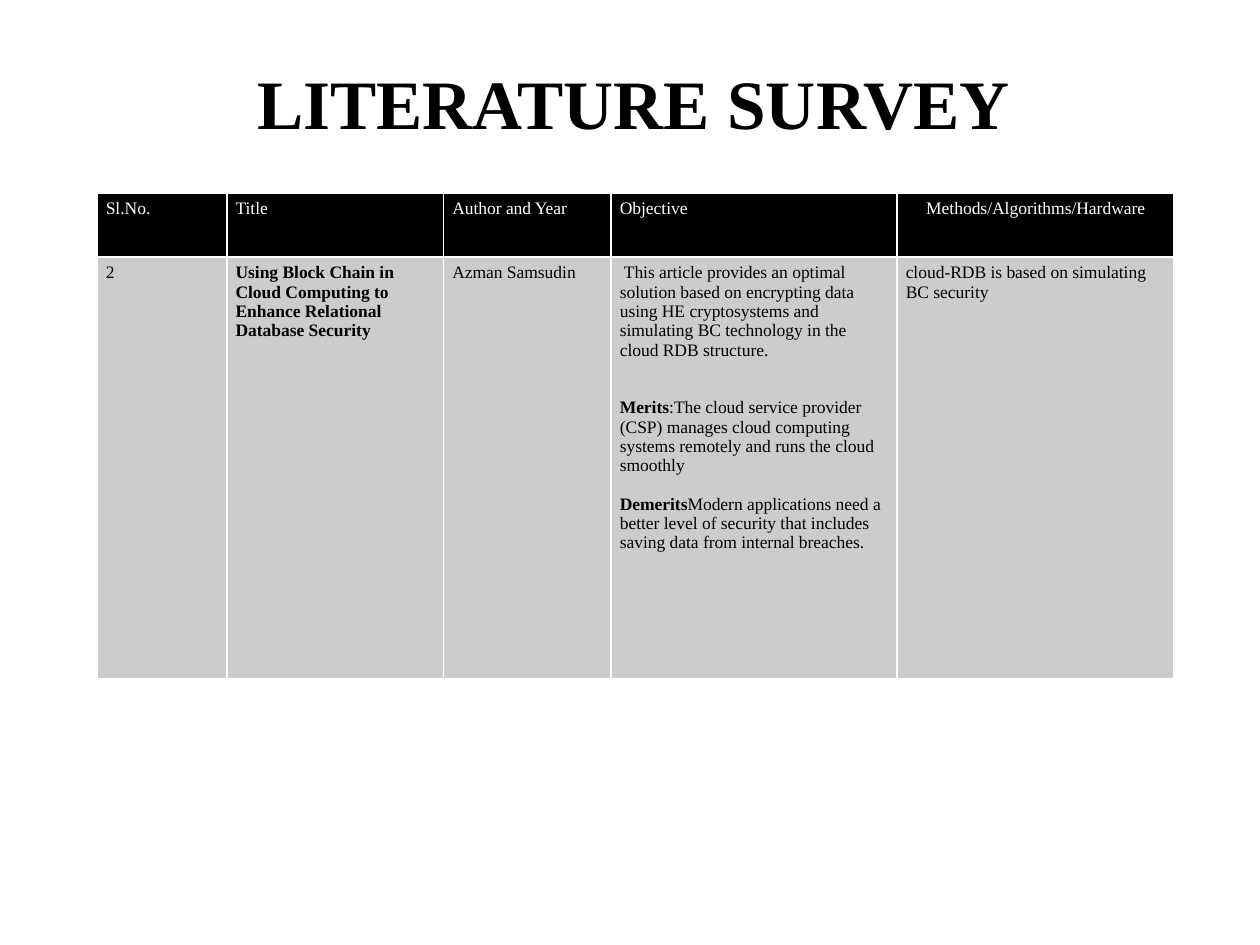
from lxml import etree
from pptx import Presentation
from pptx.dml.color import RGBColor
from pptx.enum import text
from pptx.oxml import ns
from pptx.util import Inches, Pt

BLACK = RGBColor(0, 0, 0)
WHITE = RGBColor(255, 255, 255)
GRAY = RGBColor(0xCC, 0xCC, 0xCC)
FONT = "Times New Roman"


def set_font(font, size, color):
    font.name = FONT
    font.size = Pt(size)
    font.color.rgb = color


def set_borders(cell, color):
    tcPr = cell._tc.get_or_add_tcPr()
    for i, side in enumerate(("lnL", "lnR", "lnT", "lnB")):
        ln = etree.Element(ns.qn(f"a:{side}"), w=str(Pt(1)))
        fill = etree.SubElement(ln, ns.qn("a:solidFill"))
        etree.SubElement(fill, ns.qn("a:srgbClr"), val=str(color))
        tcPr.insert(i, ln)


prs = Presentation()
prs.slide_width = Inches(10)
prs.slide_height = Inches(7.5)
s = prs.slides.add_slide(prs.slide_layouts[5])

title = s.shapes.title
title.left, title.top = Inches(0.69), Inches(0.4)
title.width, title.height = Inches(8.68), Inches(0.81)
tf = title.text_frame
tf.text = "LITERATURE SURVEY"
tf.vertical_anchor = text.MSO_ANCHOR.MIDDLE
p = tf.paragraphs[0]
p.alignment = text.PP_ALIGN.CENTER
p.font.bold = True
set_font(p.font, 39.6, BLACK)

# Each cell is a list of paragraphs: (bold text, regular text, space before in points)
rows = [
    [[("", name, 0)] for name in
     ("Sl.No.", "Title", "Author and Year", "Objective", "Methods/Algorithms/Hardware")],
    [
        [("", "2", 0)],
        [("Using Block Chain in Cloud Computing to Enhance Relational Database Security", "", 0)],
        [("", "Azman Samsudin", 0)],
        [
            ("", " This article provides an optimal solution based on encrypting data using HE "
                 "cryptosystems and simulating BC technology in the cloud RDB structure.", 0),
            ("Merits", ":The cloud service provider (CSP) manages cloud computing systems "
                       "remotely and runs the cloud smoothly", 22),
            ("Demerits", "Modern applications need a better level of security that includes "
                         "saving data from internal breaches.", 11),
        ],
        [("", "cloud-RDB is based on simulating BC security", 0)],
    ],
]
col_widths = [1.03, 1.72, 1.33, 2.27, 2.2]
row_heights = [0.51, 3.35]
row_colors = [(BLACK, WHITE), (GRAY, BLACK)]

table = s.shapes.add_table(len(rows), len(col_widths), Inches(0.77), Inches(1.53),
                           Inches(sum(col_widths)), Inches(sum(row_heights))).table
for col, width in zip(table.columns, col_widths):
    col.width = Inches(width)

for i, (row, height, (fill, color)) in enumerate(zip(rows, row_heights, row_colors)):
    table.rows[i].height = Inches(height)
    for j, paragraphs in enumerate(row):
        cell = table.cell(i, j)
        cell.fill.solid()
        cell.fill.fore_color.rgb = fill
        cell.margin_left = cell.margin_right = Inches(0.07)
        cell.margin_top = cell.margin_bottom = Inches(0.05)
        set_borders(cell, WHITE)
        tf = cell.text_frame
        for k, (strong, plain, gap) in enumerate(paragraphs):
            p = tf.add_paragraph() if k else tf.paragraphs[0]
            p.space_before = Pt(gap)
            set_font(p.font, 10, color)
            for content, bold in ((strong, True), (plain, False)):
                if content:
                    r = p.add_run()
                    r.text = content
                    r.font.bold = bold
table.cell(0, 4).text_frame.paragraphs[0].alignment = text.PP_ALIGN.CENTER

prs.save("out.pptx")
